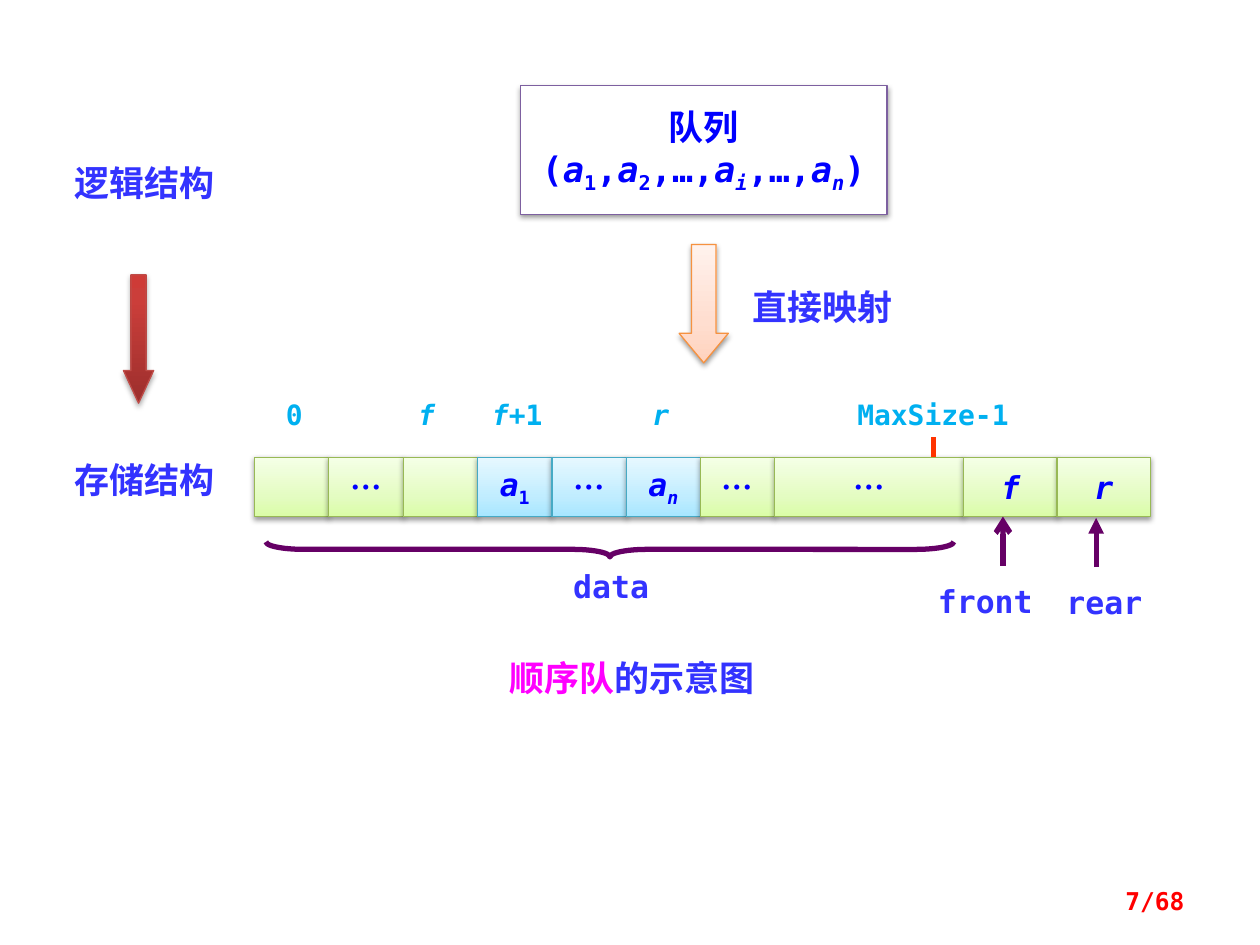
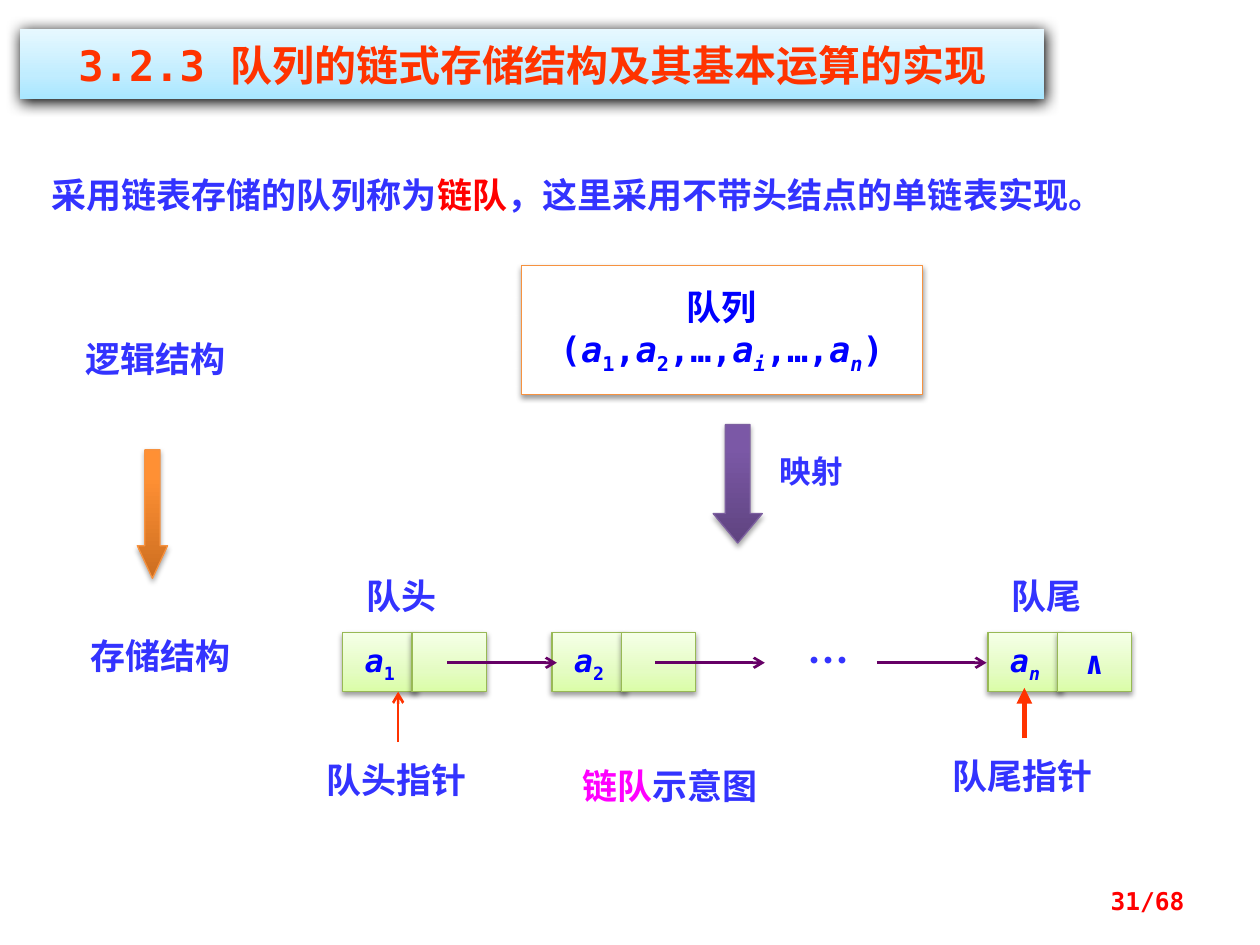
from itertools import accumulate

from lxml.etree import SubElement
from pptx import Presentation
from pptx.dml.color import RGBColor
from pptx.enum.shapes import MSO_CONNECTOR as Connector, MSO_SHAPE as Shape
from pptx.enum.text import MSO_ANCHOR as Anchor, MSO_AUTO_SIZE as AutoSize, PP_ALIGN as Align
from pptx.oxml.ns import qn
from pptx.util import Inches, Pt

MONO = "DejaVu Sans Mono"
HAN = "Noto Sans CJK SC"

BLACK = RGBColor(0x00, 0x00, 0x00)
WHITE = RGBColor(0xFF, 0xFF, 0xFF)
BLUE = RGBColor(0x00, 0x00, 0xFF)
INDIGO = RGBColor(0x33, 0x33, 0xFF)
SKY = RGBColor(0x00, 0xB0, 0xF0)
MAGENTA = RGBColor(0xFF, 0x00, 0xFF)
RED = RGBColor(0xFF, 0x00, 0x00)
VERMILION = RGBColor(0xFF, 0x33, 0x00)
PLUM = RGBColor(0x66, 0x00, 0x66)
GREEN_EDGE = RGBColor(0x98, 0xB9, 0x55)
TEAL_EDGE = RGBColor(0x46, 0xAA, 0xC5)
ORANGE_EDGE = RGBColor(0xF6, 0x92, 0x40)
RED_EDGE = RGBColor(0xBF, 0x4C, 0x48)
PURPLE_EDGE = RGBColor(0x7D, 0x60, 0xA0)


def gradient(*stops):
    """Turn (position, hex) pairs into gradient stops, bottom to top."""
    return [(position, RGBColor.from_string(code)) for position, code in stops]


LIGHT_GREEN = gradient((0, "DAFDA7"), (35, "E4FCC2"), (100, "F5FFE7"))
LIGHT_BLUE = gradient((0, "A7E6FF"), (35, "C1EDFF"), (100, "E7F8FF"))
LIGHT_PEACH = gradient((0, "FFD2BD"), (35, "FFDED0"), (100, "FFF2ED"))
DEEP_RED = gradient((0, "9C2F2D"), (80, "CB3E3A"), (100, "CE3B37"))
DEEP_ORANGE = gradient((0, "CC6E20"), (80, "FF9034"), (100, "FF9136"))
DEEP_PURPLE = gradient((0, "5F4480"), (80, "7B58A6"), (100, "7C57A8"))

# Shadows: opacity %, blur pt, distance pt
SOFT = (38, 3.1, 1.6)
FIRM = (35, 3.1, 1.8)
HEAVY = (100, 8.5, 1)

# Spans: a plain string, or (text, marks or colour); i = italic, s = subscript
A1 = [("a", "i"), ("1", "s")]
A2 = [("a", "i"), ("2", "s")]
AI = [("a", "i"), ("i", "is")]
AN = [("a", "i"), ("n", "is")]
QUEUE = ["(", *A1, ",", *A2, ",…,", *AI, ",…,", *AN, ")"]
DOTS = "…"


class Painter:
    def __init__(self):
        self.deck = Presentation()
        self.deck.slide_width = Inches(10)
        self.deck.slide_height = Inches(7.5)
        self.page = None

    def new_page(self, number, title=None):
        self.page = self.deck.slides.add_slide(self.deck.slide_layouts[5 if title else 6])
        if title:
            self.title(title)
        self.label(number, 7.17, 6.95, 2.33, 0.4, 14, MONO, RED, Align.RIGHT, Anchor.MIDDLE)

    def title(self, text):
        box = self.page.shapes.title
        box.left, box.top, box.width, box.height = map(Inches, (0.16, 0.23, 8.13, 0.56))
        self.paint(box, LIGHT_BLUE, None, HEAVY)
        frame = box.text_frame
        frame.auto_size = AutoSize.NONE
        frame.vertical_anchor = Anchor.MIDDLE
        self.fill_para(frame.paragraphs[0], text, 24, MONO, VERMILION)

    def paint(self, shape, fill, edge, shadow):
        if isinstance(fill, RGBColor):
            shape.fill.solid()
            shape.fill.fore_color.rgb = fill
        elif fill:
            shape.fill.gradient()
            shape.fill.gradient_angle = 90
            stops = shape._element.spPr.find(".//" + qn("a:gsLst"))
            stops.clear()
            for position, colour in fill:
                stop = SubElement(stops, qn("a:gs"), pos=str(position * 1000))
                SubElement(stop, qn("a:srgbClr"), val=str(colour))
        else:
            shape.fill.background()
        if edge:
            shape.line.color.rgb = edge
            shape.line.width = Pt(0.75)
        else:
            shape.line.fill.background()
        shape.shadow.inherit = False
        if shadow:
            opacity, blur, distance = shadow
            effects = shape._element.spPr.find(qn("a:effectLst"))
            outer = SubElement(effects, qn("a:outerShdw"), blurRad=str(Pt(blur)),
                               dist=str(Pt(distance)), dir="5400000", rotWithShape="0")
            tint = SubElement(outer, qn("a:srgbClr"), val=str(BLACK))
            SubElement(tint, qn("a:alpha"), val=str(opacity * 1000))

    def fill_para(self, para, content, size, font, colour, align=Align.CENTER):
        para.alignment = align
        for item in [content] if isinstance(content, str) else content:
            text, style = (item, "") if isinstance(item, str) else item
            marks = style if isinstance(style, str) else ""
            span = para.add_run()
            span.text = text
            span.font.size = Pt(size)
            span.font.bold = True
            span.font.italic = "i" in marks
            span.font.color.rgb = colour if isinstance(style, str) else style
            span.font.name = font
            props = span._r.get_or_add_rPr()
            SubElement(props, qn("a:ea"), typeface=font)
            if "s" in marks:
                props.set("baseline", "-25000")

    def label(self, content, left, top, width, height=0.44, size=20, font=HAN,
              colour=INDIGO, align=Align.CENTER, anchor=Anchor.TOP):
        box = self.page.shapes.add_textbox(*map(Inches, (left, top, width, height)))
        frame = box.text_frame
        frame.word_wrap = True
        frame.vertical_anchor = anchor
        self.fill_para(frame.paragraphs[0], content, size, font, colour, align)

    def block(self, left, top, width, height, fill, edge, lines=(), size=18, font=MONO):
        box = self.page.shapes.add_shape(
            Shape.RECTANGLE, *map(Inches, (left, top, width, height)))
        self.paint(box, fill, edge, SOFT)
        frame = box.text_frame
        frame.word_wrap = False
        frame.vertical_anchor = Anchor.MIDDLE
        for index, line in enumerate(lines):
            para = frame.add_paragraph() if index else frame.paragraphs[0]
            self.fill_para(para, line, size, font, BLUE)

    def cell(self, left, top, width, content=None, used=False):
        fill, edge = (LIGHT_BLUE, TEAL_EDGE) if used else (LIGHT_GREEN, GREEN_EDGE)
        self.block(left, top, width, 0.47, fill, edge, [content] if content else (),
                   font=HAN if content == DOTS else MONO)

    def queue_box(self, left, top, width, edge):
        self.block(left, top, width, 1.02, WHITE, edge, ["队列", QUEUE], 20)

    def down_arrow(self, left, top, width, height, head, fill, edge, shadow=FIRM):
        arrow = self.page.shapes.add_shape(
            Shape.DOWN_ARROW, *map(Inches, (left, top, width, height)))
        arrow.adjustments[0] = 0.5
        arrow.adjustments[1] = head
        self.paint(arrow, fill, edge, shadow)

    def brace_below(self, left, top, length, depth):
        # A right brace turned a quarter about its centre
        box = (left + (length - depth) / 2, top + (depth - length) / 2, depth, length)
        brace = self.page.shapes.add_shape(Shape.RIGHT_BRACE, *map(Inches, box))
        brace.rotation = 90
        brace.adjustments[0] = 2.49
        brace.adjustments[1] = 0.5
        self.paint(brace, None, PLUM, None)
        brace.line.width = Pt(3)

    def line(self, start, end, colour, width, head=None):
        line = self.page.shapes.add_connector(
            Connector.STRAIGHT, *map(Inches, (*start, *end)))
        line.line.color.rgb = colour
        line.line.width = Pt(width)
        props = line._element.spPr
        if head:
            SubElement(props.find(qn("a:ln")), qn("a:tailEnd"), type=head)
        SubElement(props, qn("a:effectLst"))


def sequential_queue(painter):
    painter.new_page("7/68")

    # Logical structure mapped to storage
    painter.queue_box(4.13, 0.68, 2.91, PURPLE_EDGE)
    painter.down_arrow(5.39, 1.94, 0.39, 0.94, 0.6, LIGHT_PEACH, ORANGE_EDGE, SOFT)
    painter.label("直接映射", 5.78, 2.22, 1.5)
    painter.label("逻辑结构", 0.2, 1.23, 1.89)
    painter.down_arrow(0.98, 2.18, 0.24, 1.02, 1.08, DEEP_RED, RED_EDGE)
    painter.label("存储结构", 0.2, 3.59, 1.89)

    # Array cells, then the front and rear fields
    contents = [None, DOTS, None, A1, DOTS, AN, DOTS, DOTS, [("f", "i")], [("r", "i")]]
    widths = [0.59] * 7 + [1.5, 0.74, 0.74]
    lefts = accumulate(widths, initial=2.02)
    for index, (left, width, content) in enumerate(zip(lefts, widths, contents)):
        painter.cell(left, 3.63, width, content, used=3 <= index <= 5)

    # Index labels
    for content, left, width in [
        ("0", 2.06, 0.55),
        ([("f", "i")], 3.11, 0.55),
        ([("f", "i"), "+1"], 3.71, 0.79),
        ([("r", "i")], 4.89, 0.71),
        ("MaxSize-1", 6.58, 1.65),
    ]:
        painter.label(content, left, 3.11, width, 0.37, 16, MONO, SKY)
    painter.line((7.41, 3.47), (7.41, 3.63), VERMILION, 3)

    # Field names
    painter.brace_below(2.11, 4.3, 5.46, 0.12)
    for name, left, top, width in [
        ("data", 4.3, 4.45, 1.1),
        ("front", 7.27, 4.57, 1.1),
        ("rear", 8.33, 4.58, 0.87),
    ]:
        painter.label(name, left, top, width, 0.4, 18, MONO)
    painter.line((7.96, 4.49), (7.96, 4.1), PLUM, 3, "arrow")
    painter.line((8.7, 4.5), (8.7, 4.11), PLUM, 3, "triangle")
    painter.label([("顺序队", MAGENTA), "的示意图"], 3.75, 5.16, 2.53)


def linked_queue(painter):
    painter.new_page("31/68", "3.2.3 队列的链式存储结构及其基本运算的实现")
    painter.label(["采用链表存储的队列称为", ("链队", RED), "，这里采用不带头结点的单链表实现。"],
                  0.31, 1.33, 8.44, 0.78, font=MONO, align=Align.LEFT)

    # Logical structure mapped to storage
    painter.queue_box(4.14, 2.11, 3.18, ORANGE_EDGE)
    painter.down_arrow(5.66, 3.37, 0.39, 0.94, 0.6, DEEP_PURPLE, PURPLE_EDGE)
    painter.label("映射", 6.09, 3.54, 0.93, 0.4, 18, align=Align.LEFT)
    painter.label("逻辑结构", 0.58, 2.63, 1.84, align=Align.LEFT)
    painter.down_arrow(1.09, 3.57, 0.24, 1.02, 1.08, DEEP_ORANGE, ORANGE_EDGE)
    painter.label("存储结构", 0.62, 4.99, 1.84, align=Align.LEFT)

    # Nodes: a data cell and a link cell each
    for left, data, link in [(2.72, A1, None), (4.38, A2, None), (7.84, AN, "∧")]:
        painter.cell(left, 5.02, 0.59, data)
        painter.cell(left + 0.55, 5.02, 0.59, link)
    for left in (3.55, 5.2, 6.96):
        painter.line((left, 5.26), (left + 0.87, 5.26), PLUM, 1.5, "arrow")
    painter.label(DOTS, 6.1, 4.99, 0.95, 0.5, 24)

    # Head and tail pointers
    painter.label("队头", 2.64, 4.51, 1.1)
    painter.label("队尾", 7.76, 4.51, 1.1)
    painter.line((3.16, 5.89), (3.16, 5.49), VERMILION, 1.5, "arrow")
    painter.label("队头指针", 2.28, 5.97, 1.73)
    painter.line((8.13, 5.86), (8.13, 5.46), VERMILION, 3, "triangle")
    painter.label("队尾指针", 7.25, 5.94, 1.73)
    painter.label([("链队", MAGENTA), "示意图"], 4.22, 6.02, 2.19)


def main():
    painter = Painter()
    sequential_queue(painter)
    linked_queue(painter)
    painter.deck.save("out.pptx")


if __name__ == "__main__":
    main()
